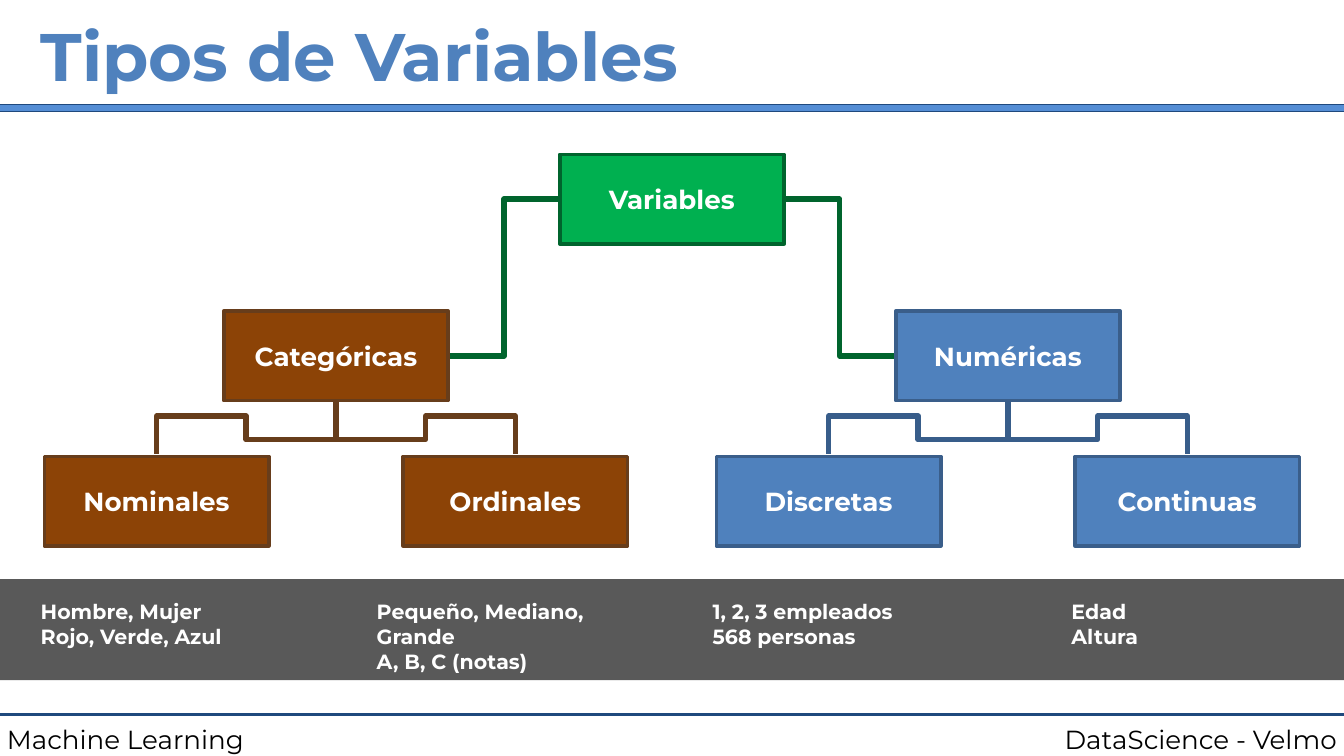
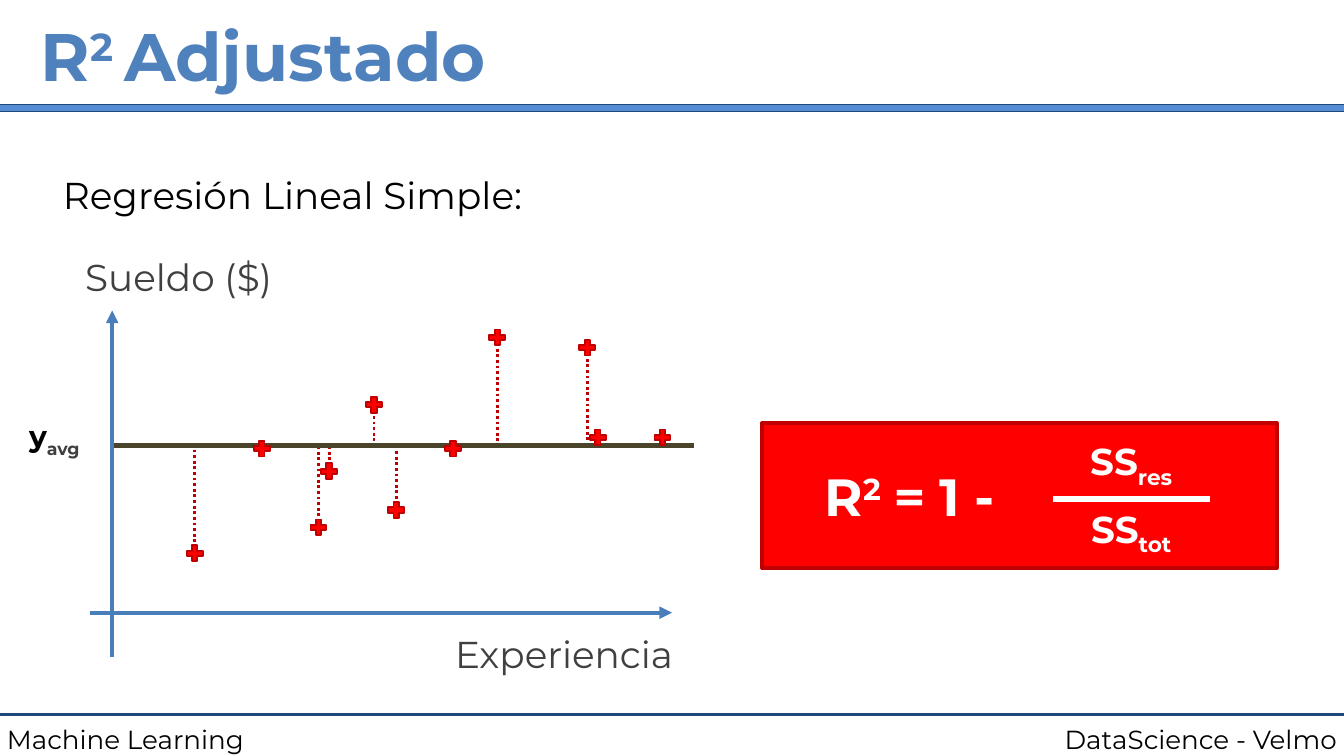
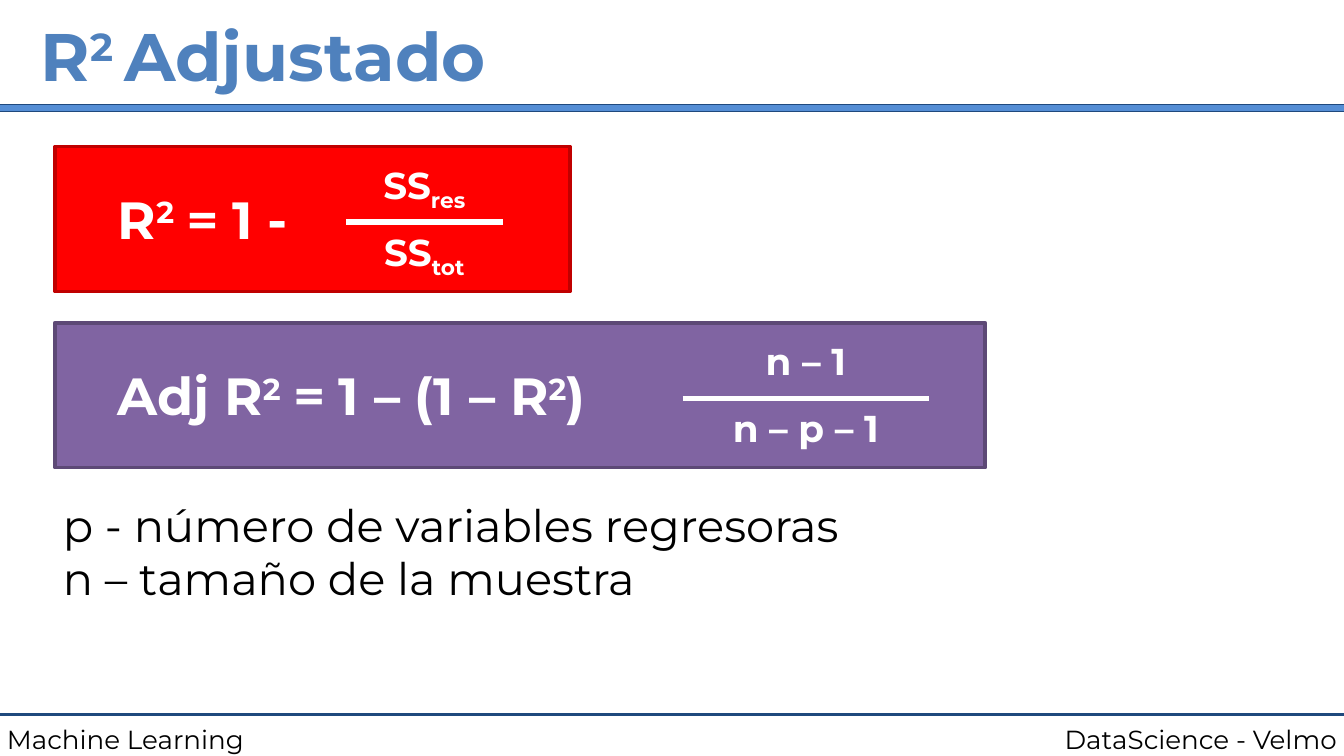
"""Build three slides on variable types and adjusted R squared."""
from lxml import etree
from pptx import Presentation
from pptx.dml.color import RGBColor
from pptx.enum import dml, shapes, text
from pptx.oxml.ns import qn
from pptx.util import Cm, Pt

WHITE = RGBColor(0xFF, 0xFF, 0xFF)
BLACK = RGBColor(0, 0, 0)
GRAY = RGBColor(0x40, 0x40, 0x40)
BAND_GRAY = RGBColor(0x59, 0x59, 0x59)
NAVY = RGBColor(0x1F, 0x49, 0x7D)
RULE_BLUE = RGBColor(0x55, 0x8E, 0xD5)
BLUE = RGBColor(0x4F, 0x81, 0xBD)
BLUE_EDGE = RGBColor(0x3A, 0x5E, 0x8A)
BLUE_BRANCH = RGBColor(0x38, 0x5D, 0x8A)
AXIS_BLUE = RGBColor(0x4A, 0x7E, 0xBB)
GREEN = RGBColor(0x00, 0xB0, 0x50)
GREEN_EDGE = RGBColor(0x00, 0x64, 0x2D)
BROWN = RGBColor(0x8C, 0x43, 0x06)
BROWN_EDGE = RGBColor(0x67, 0x3D, 0x1B)
RED = RGBColor(0xFF, 0, 0)
RED_EDGE = RGBColor(0xC0, 0, 0)
OLIVE = RGBColor(0x4A, 0x45, 0x2A)
PURPLE = RGBColor(0x80, 0x64, 0xA2)
PURPLE_EDGE = RGBColor(0x5D, 0x49, 0x76)

FONT = "Montserrat"
SYMBOL_FONT = "Open Sans"
SUPER, SUB = 30, -25
LEFT, CENTER, RIGHT = (text.PP_ALIGN.LEFT, text.PP_ALIGN.CENTER,
                       text.PP_ALIGN.RIGHT)

SLIDE_WIDTH, SLIDE_HEIGHT = 25.4, 14.29
INSETS = {f"margin_{side}": Cm(0.13)
          for side in ("left", "right", "top", "bottom")}

# Lines of text are lists of runs: (words, baseline percent, colour or font).
ADJUSTED_TITLE = [("R",), ("2 ", SUPER), ("Adjustado",)]
R_SQUARED = [("R",), ("2", SUPER), (" =", 0, {"name": SYMBOL_FONT}), (" 1 - ",)]
ADJUSTED_R_SQUARED = [("Adj R",), ("2", SUPER), (" =", 0, {"name": SYMBOL_FONT}),
                      (" 1 – (1 – R",), ("2", SUPER), (")",)]

# Tree geometry in cm
BOX_WIDTH, BOX_HEIGHT = 4.24, 1.69
ROOT_X, BRANCH_OFFSET, LEAF_OFFSET = 12.7, 6.35, 3.39
ROOT_TOP, BRANCH_TOP, LEAF_TOP = 2.92, 5.88, 8.63

MEAN_Y = 8.42
POINT_SIZE = 0.3
POINTS = [(4.95, 8.48), (7.07, 7.65), (8.56, 8.48), (9.4, 6.38), (11.3, 8.27),
          (6.02, 9.97), (11.1, 6.57), (3.68, 10.46), (6.22, 8.91),
          (12.52, 8.27), (7.49, 9.64)]


def set_attributes(target, values):
    """Set each named value on the target."""
    for name, value in values.items():
        setattr(target, name, value)


def write(shape, lines, size, color, bold=False, align=LEFT, **frame_format):
    """Fill a shape with lines, each one a string or a list of runs."""
    frame = shape.text_frame
    set_attributes(frame, {"word_wrap": True, **INSETS, **frame_format})
    for index, line in enumerate(lines):
        paragraph = frame.add_paragraph() if index else frame.paragraphs[0]
        paragraph.alignment = align
        for words, *style in [(line,)] if isinstance(line, str) else line:
            baseline, changes = (style + [0, {}][len(style):])
            run = paragraph.add_run()
            run.text = words
            run.font.color.rgb = color
            set_attributes(run.font, {"name": FONT, "size": Pt(size),
                                      "bold": bold, **changes})
            if baseline:
                run.font._element.set("baseline", str(baseline * 1000))


def add_text(slide, left, top, width, height, lines, size, color,
             word_wrap=True, **formats):
    """Add a text box that grows with its text."""
    shape = slide.shapes.add_textbox(Cm(left), Cm(top), Cm(width), Cm(height))
    write(shape, lines, size, color, word_wrap=word_wrap,
          auto_size=text.MSO_AUTO_SIZE.SHAPE_TO_FIT_TEXT, **formats)
    return shape


def add_block(slide, left, top, width, height, fill, edge=None, edge_width=2,
              kind=shapes.MSO_SHAPE.RECTANGLE):
    """Add a filled preset shape, with an outline if an edge is given."""
    shape = slide.shapes.add_shape(kind, Cm(left), Cm(top), Cm(width),
                                   Cm(height))
    shape.shadow.inherit = False
    shape.fill.solid()
    shape.fill.fore_color.rgb = fill
    if edge is None:
        shape.line.fill.background()
    else:
        shape.line.color.rgb = edge
        shape.line.width = Pt(edge_width)
    return shape


def add_line(slide, start, end, color, width, dash=None, arrow=False):
    """Add a straight line between two points."""
    connector = slide.shapes.add_connector(
        shapes.MSO_CONNECTOR.STRAIGHT, *map(Cm, start + end))
    connector.line.color.rgb = color
    set_attributes(connector.line, {"width": Pt(width), "dash_style": dash})
    properties = connector.element.spPr
    if arrow:
        etree.SubElement(properties.find(qn("a:ln")), qn("a:tailEnd"),
                         type="triangle")
    etree.SubElement(properties, qn("a:effectLst"))
    return connector


def add_branch(slide, points, color):
    """Add an open line with corners through the points."""
    first, *rest = [(Cm(x), Cm(y)) for x, y in points]
    builder = slide.shapes.build_freeform(*first)
    builder.add_line_segments(rest, close=False)
    shape = builder.convert_to_shape()
    shape.shadow.inherit = False
    shape.fill.background()
    shape.line.color.rgb = color
    shape.line.width = Pt(3)


def add_title(slide, line):
    """Place and format the title placeholder."""
    title = slide.shapes.title
    set_attributes(title, {"left": Cm(0.64), "top": Cm(0),
                           "width": Cm(24.13), "height": Cm(2.06)})
    write(title, [line], 36, BLUE, bold=True,
          vertical_anchor=text.MSO_ANCHOR.MIDDLE,
          auto_size=text.MSO_AUTO_SIZE.NONE)


def dress_layout(layout, slide):
    """Draw the rules and footers on a slide and move them to its layout."""
    for placeholder in list(layout.placeholders):
        if placeholder.placeholder_format.type != shapes.PP_PLACEHOLDER.TITLE:
            layout.shapes.element.remove(placeholder.element)
    shared = [
        add_line(slide, (0, 13.51), (SLIDE_WIDTH, 13.51), NAVY, 1.5),
        add_text(slide, 17.98, 13.54, 7.42, 0.86, ["DataScience - Velmo"], 14,
                 BLACK, align=RIGHT),
        add_text(slide, 0, 13.54, 8.26, 0.86, ["Machine Learning"], 14, BLACK),
        add_block(slide, -0.1, 1.98, 25.6, 0.13, RULE_BLUE, NAVY, 0.75),
    ]
    for shape in shared:
        layout.shapes.element.append(shape.element)


def add_node(slide, center_x, top, label, fill, edge):
    """Add a labelled box of the tree."""
    box = add_block(slide, center_x - BOX_WIDTH / 2, top, BOX_WIDTH,
                    BOX_HEIGHT, fill, edge)
    write(box, [label], 14, WHITE, bold=True, align=CENTER,
          vertical_anchor=text.MSO_ANCHOR.MIDDLE)


def add_family(slide, side, label, leaves, fill, edge, branch_color):
    """Add one half of the tree; side is -1 for left and 1 for right."""
    center = ROOT_X + side * BRANCH_OFFSET
    root_y, branch_y = ROOT_TOP + BOX_HEIGHT / 2, BRANCH_TOP + BOX_HEIGHT / 2
    near, middle, far = (ROOT_X + side * step for step in (2.16, 3.17, 4.19))
    add_branch(slide, [(near, root_y), (middle, root_y), (middle, branch_y),
                       (far, branch_y)], GREEN_EDGE)
    add_node(slide, center, BRANCH_TOP, label, fill, edge)
    for leaf, direction in zip(leaves, (-1, 1)):
        leaf_x = center + direction * LEAF_OFFSET
        half_x = center + direction * LEAF_OFFSET / 2
        add_node(slide, leaf_x, LEAF_TOP, leaf, fill, edge)
        add_branch(slide, [(center, 7.59), (center, 8.31), (half_x, 8.31),
                           (half_x, 7.87), (leaf_x, 7.87), (leaf_x, 8.59)],
                   branch_color)


def add_formula(slide, left, top, width, fill, edge, runs, fraction_left,
                fraction_width, fraction):
    """Add a coloured box with a formula that ends in a fraction."""
    add_block(slide, left, top, width, 2.74, fill, edge)
    add_text(slide, left + 1.06, top + 0.64, fraction_left - 0.5, 1.45, [runs],
             28, WHITE, bold=True)
    start, rule_y = left + fraction_left, top + 1.43
    add_line(slide, (start, rule_y), (start + fraction_width, rule_y), WHITE, 3)
    for line, line_top in zip(fraction, (rule_y - 1.27, rule_y)):
        add_text(slide, start, line_top, fraction_width, 1.09, [line], 20,
                 WHITE, bold=True, align=CENTER)


def add_r_squared(slide, left, top):
    """Add the red box with the formula of R squared."""
    add_formula(slide, left, top, 9.73, RED, RED_EDGE, R_SQUARED, 5.5, 2.96,
                [[("SS",), ("res", SUB)], [("SS",), ("tot", SUB)]])


def add_scatter(slide):
    """Draw the points, their distances to the mean, and the axes."""
    for x, y in POINTS:
        if abs(y - MEAN_Y) > POINT_SIZE:
            add_line(slide, (x, y), (x, MEAN_Y), RED_EDGE, 1.5,
                     dash=dml.MSO_LINE.ROUND_DOT)
    add_line(slide, (2.12, MEAN_Y), (13.12, MEAN_Y), OLIVE, 2.25)
    add_line(slide, (2.12, 12.42), (2.12, 5.87), AXIS_BLUE, 2.25, arrow=True)
    add_line(slide, (1.7, 11.58), (12.7, 11.58), AXIS_BLUE, 2.25, arrow=True)
    add_text(slide, 1.48, 4.67, 5.29, 1.09, ["Sueldo ($)"], 20, GRAY)
    add_text(slide, 8.47, 11.81, 4.87, 1.09, ["Experiencia"], 20, GRAY)
    for x, y in POINTS:
        cross = add_block(slide, x - POINT_SIZE / 2, y - POINT_SIZE / 2,
                          POINT_SIZE, POINT_SIZE, RED, RED_EDGE, 1,
                          shapes.MSO_SHAPE.CROSS)
        cross.adjustments[0] = 0.33
    average = add_text(slide, 0.42, 7.77, 1.24, 1.04,
                       [[("y",), ("avg", SUB)]], 16, BLACK, bold=True,
                       word_wrap=False)
    average.text_frame.paragraphs[0].runs[1].font.color.rgb = GRAY


def fill_variables(slide):
    """Slide 1: the tree of variable types with examples."""
    add_block(slide, 0, 10.95, SLIDE_WIDTH, 1.91, BAND_GRAY)
    add_title(slide, "Tipos de Variables")
    add_node(slide, ROOT_X, ROOT_TOP, "Variables", GREEN, GREEN_EDGE)
    add_family(slide, -1, "Categóricas", ["Nominales", "Ordinales"], BROWN,
               BROWN_EDGE, BROWN_EDGE)
    add_family(slide, 1, "Numéricas", ["Discretas", "Continuas"], BLUE,
               BLUE_EDGE, BLUE_BRANCH)
    examples = [
        (0.64, 4.65, ["Hombre, Mujer", "Rojo, Verde, Azul"]),
        (6.99, 5.51, ["Pequeño, Mediano, Grande", "A, B, C (notas)"]),
        (13.34, 5.08, ["1, 2, 3 empleados", "568 personas"]),
        (20.12, 5.08, ["Edad", "Altura"]),
    ]
    for left, width, lines in examples:
        add_text(slide, left, 11.2, width, 1.17, lines, 11, WHITE, bold=True)


def fill_regression(slide):
    """Slide 2: simple regression and R squared."""
    add_title(slide, ADJUSTED_TITLE)
    add_text(slide, 1.06, 3.12, 13.97, 1.09, ["Regresión Lineal Simple:"], 20,
             BLACK)
    add_scatter(slide)
    add_r_squared(slide, 14.4, 8)


def fill_adjusted(slide):
    """Slide 3: R squared and its adjusted form."""
    add_title(slide, ADJUSTED_TITLE)
    add_r_squared(slide, 1.04, 2.77)
    add_formula(slide, 1.04, 6.1, 17.58, PURPLE, PURPLE_EDGE,
                ADJUSTED_R_SQUARED, 11.86, 4.66, ["n – 1", "n – p – 1"])
    add_text(slide, 1.06, 9.27, 15.34, 2.31,
             ["p - número de variables regresoras",
              "n – tamaño de la muestra"], 24, BLACK)


def main():
    """Build and save the presentation."""
    presentation = Presentation()
    set_attributes(presentation, {"slide_width": Cm(SLIDE_WIDTH),
                                  "slide_height": Cm(SLIDE_HEIGHT)})
    layout = presentation.slide_layouts.get_by_name("Title Only")
    for index, fill in enumerate((fill_variables, fill_regression,
                                  fill_adjusted)):
        slide = presentation.slides.add_slide(layout)
        if index == 0:
            dress_layout(layout, slide)
        fill(slide)
    presentation.save("out.pptx")


main()
